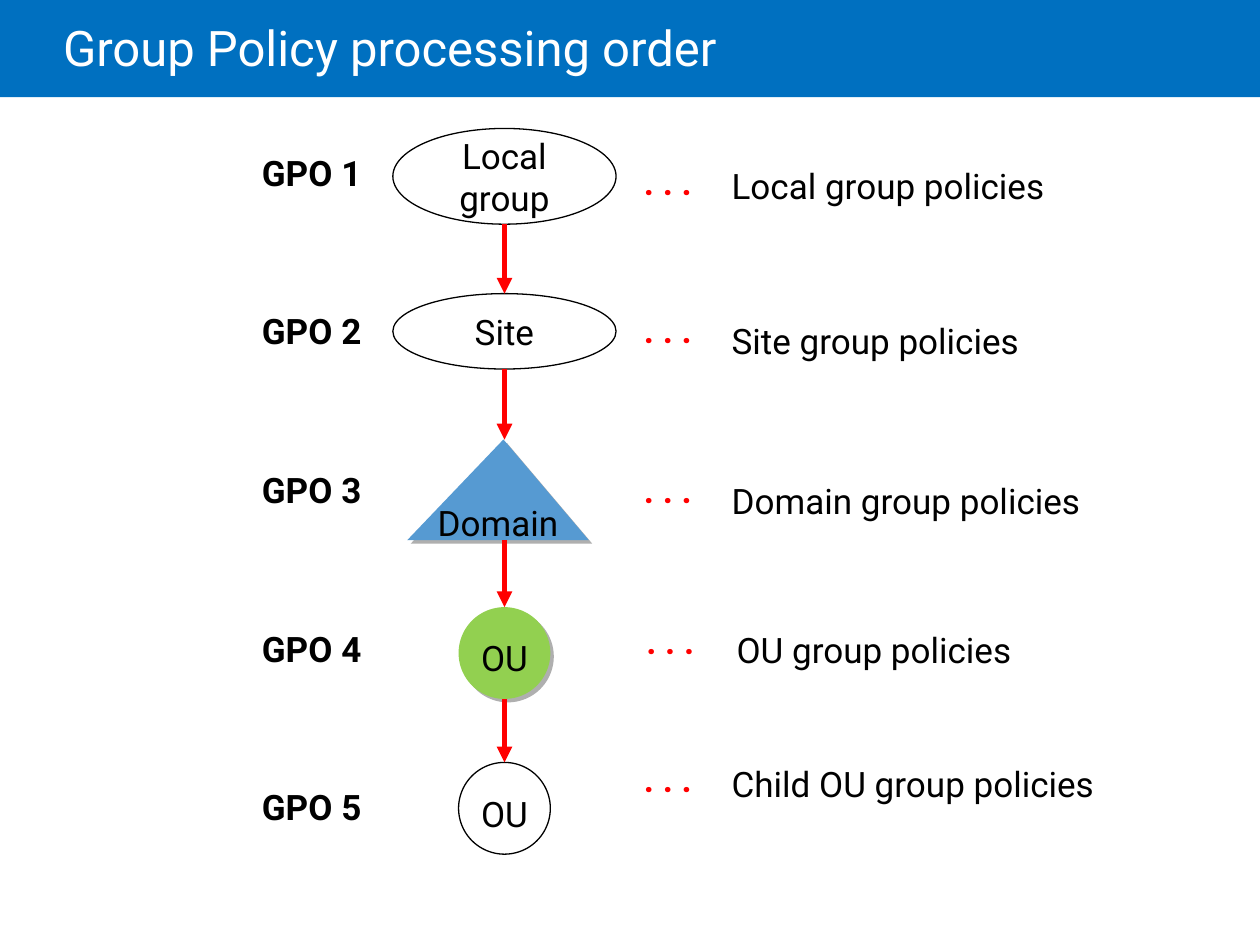
from lxml import etree
from pptx import Presentation
from pptx.dml.color import RGBColor
from pptx.enum.shapes import MSO_CONNECTOR, MSO_SHAPE
from pptx.enum.text import MSO_ANCHOR, PP_ALIGN
from pptx.oxml.ns import qn
from pptx.util import Cm, Pt

OVAL, CONE = MSO_SHAPE.OVAL, MSO_SHAPE.ISOSCELES_TRIANGLE
RECT, LINE = MSO_SHAPE.RECTANGLE, MSO_CONNECTOR.STRAIGHT
MID, LEFT, CENTER = MSO_ANCHOR.MIDDLE, PP_ALIGN.LEFT, PP_ALIGN.CENTER
FONT = "Roboto"
BLACK, WHITE, RED, BLUE = "000000", "FFFFFF", "FF0000", "0070C0"
AXIS, SIDE, TOP, STEP = 10.17, 5.03, 2.92, 3.2

STAGES = [
    dict(form=OVAL, size=(4.5, 1.93), lift=0.33, fill=WHITE, inner="Local group",
         dots=0.2, policy="Local group policies", drop=0.28),
    dict(form=OVAL, size=(4.5, 1.52), lift=0.2, fill=WHITE, inner="Site",
         dots=-0.02, policy="Site group policies", drop=0.2),
    dict(form=CONE, size=(3.66, 2.03), lift=0.46, fill="569AD2", shift=-0.13,
         label="Domain", sink=0.66, dots=0, policy="Domain group policies", drop=0.23),
    dict(form=OVAL, size=(1.85, 1.85), lift=0.28, fill="92D050",
         label="OU", sink=0.18, dots=-0.15, policy="OU group policies", drop=0.03, nudge=0.1),
    dict(form=OVAL, size=(1.85, 1.85), lift=0.35, fill=WHITE,
         label="OU", sink=0.13, dots=-0.58, policy="Child OU group policies", drop=-0.48),
]


def paint(item, color):
    """Give a fill, line or font colour from a hex string."""
    if hasattr(item, "solid"):
        item.solid()
        item = item.fore_color
    else:
        item = item.color
    item.rgb = RGBColor.from_string(color)


def style(frame, text, color=BLACK, size=20, bold=False, align=LEFT):
    """Fill a text frame with one formatted line."""
    frame.text = text
    para = frame.paragraphs[0]
    para.alignment = align
    font = para.runs[0].font
    font.name, font.size, font.bold = FONT, Pt(size), bold
    paint(font, color)


def write(slide, text, left, top, width, **look):
    """Add a one-line text box."""
    box = slide.shapes.add_textbox(Cm(left), Cm(top), Cm(width), Cm(1.11))
    box.text_frame.word_wrap = False
    style(box.text_frame, text, **look)


def shade(shape):
    """Add a hard grey shadow to the lower right."""
    effect = shape._element.spPr.find(qn("a:effectLst"))
    outer = etree.SubElement(effect, qn("a:outerShdw"), dist="35921", dir="2700000",
                             algn="ctr", rotWithShape="0")
    etree.SubElement(outer, qn("a:srgbClr"), val="AFAFAF")


def node(slide, stage, left, top):
    """Draw the symbol of a stage in its box."""
    width, height = stage["size"]
    shape = slide.shapes.add_shape(stage["form"], Cm(left), Cm(top), Cm(width), Cm(height))
    shape.shadow.inherit = False
    paint(shape.fill, stage["fill"])
    if stage["fill"] == WHITE:
        paint(shape.line, BLACK)
        shape.line.width = Pt(0.75)
    else:
        shape.line.fill.background()
        shade(shape)
    if stage["form"] == CONE:
        shape.adjustments[0] = 0.53
    if "inner" in stage:
        frame = shape.text_frame
        frame.word_wrap, frame.vertical_anchor = True, MID
        frame.margin_left = frame.margin_right = Cm(0.51)
        style(frame, stage["inner"], align=CENTER)


def row(slide, stage, rank, left, top):
    """Place one stage: rank, symbol, dots and policy."""
    mid = AXIS + stage.get("shift", 0)
    node(slide, stage, mid - stage["size"][0] / 2, top - stage["lift"])
    if "label" in stage:
        write(slide, stage["label"], mid - 1.5, top + stage["sink"], 3, align=CENTER)
    nudge = stage.get("nudge", 0)
    write(slide, f"GPO {rank}", left, top, 2.59, bold=True)
    write(slide, ". . .", left + 7.7 + nudge / 2, top + stage["dots"], 1.47,
          color=RED, bold=True)
    write(slide, stage["policy"], left + 9.47 + nudge, top + stage["drop"], 8)


def arrow(slide, left, top, end):
    """Draw a red arrow straight down."""
    link = slide.shapes.add_connector(LINE, Cm(left), Cm(top), Cm(left), Cm(end))
    paint(link.line, RED)
    link.line.width = Pt(3)
    etree.SubElement(link.line._get_or_add_ln(), qn("a:tailEnd"), type="triangle")
    etree.SubElement(link._element.spPr, qn("a:effectLst"))


def header(slide, text, left, top, width, height):
    """Draw the blue band with the title on it."""
    title = slide.shapes.title
    bar = slide.shapes.add_shape(RECT, Cm(left), Cm(top), Cm(width), Cm(height))
    bar.shadow.inherit = False
    paint(bar.fill, BLUE)
    bar.line.fill.background()
    title._element.addprevious(bar._element)
    title.left, title.top = Cm(left + 1.27), Cm(top)
    title.width, title.height = Cm(21.59), Cm(height + 0.1)
    frame = title.text_frame
    frame.vertical_anchor, frame.margin_left = MID, 0
    style(frame, text, color=WHITE, size=28)
    frame.paragraphs[0].line_spacing = 0.85


def main():
    """Build and save the slide."""
    deck = Presentation()
    deck.slide_width, deck.slide_height = Cm(25.4), Cm(19.05)
    slide = deck.slides.add_slide(deck.slide_layouts[5])
    header(slide, "Group Policy processing order", 0, 0, 25.4, 1.96)
    spans = []
    for i, stage in enumerate(STAGES):
        top = TOP + i * STEP
        row(slide, stage, i + 1, SIDE, top)
        start = top - stage["lift"]
        spans.append((start, start + stage["size"][1]))
    for above, below in zip(spans, spans[1:]):
        arrow(slide, AXIS, above[1], below[0])
    deck.save("out.pptx")


if __name__ == "__main__":
    main()
